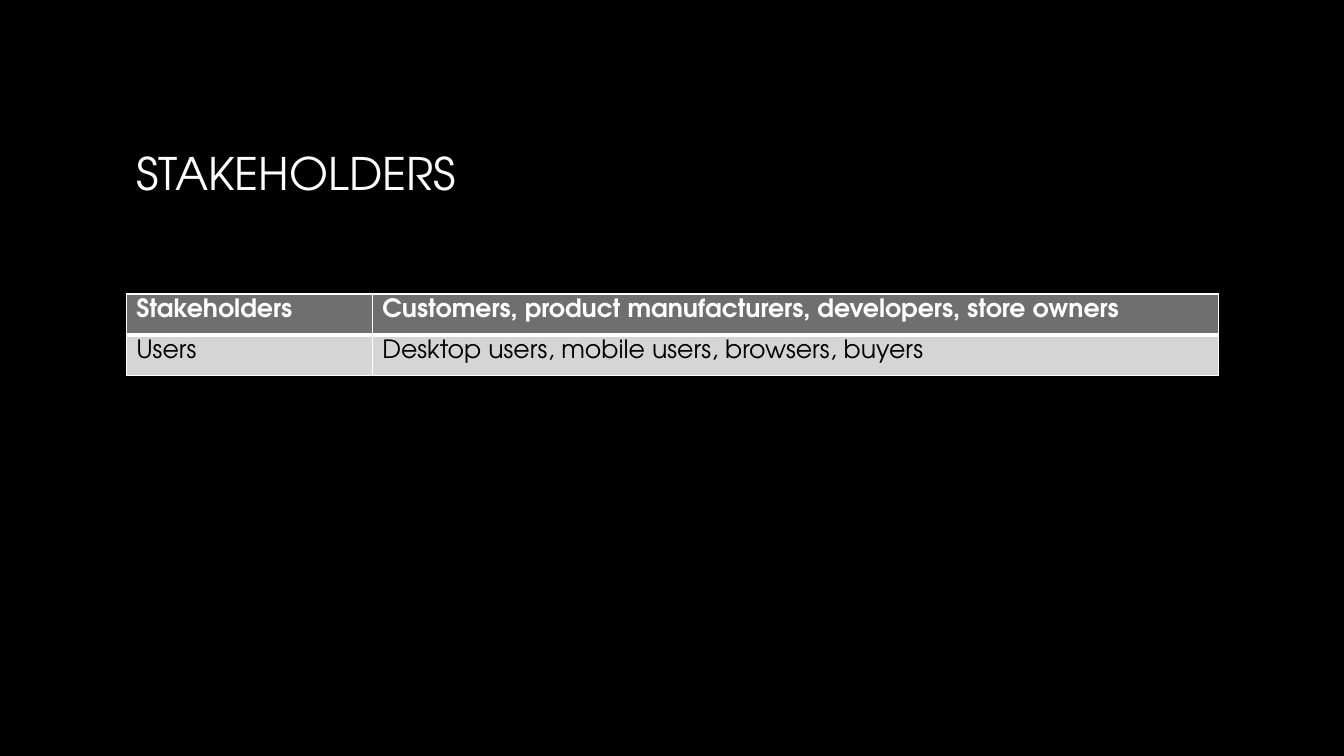
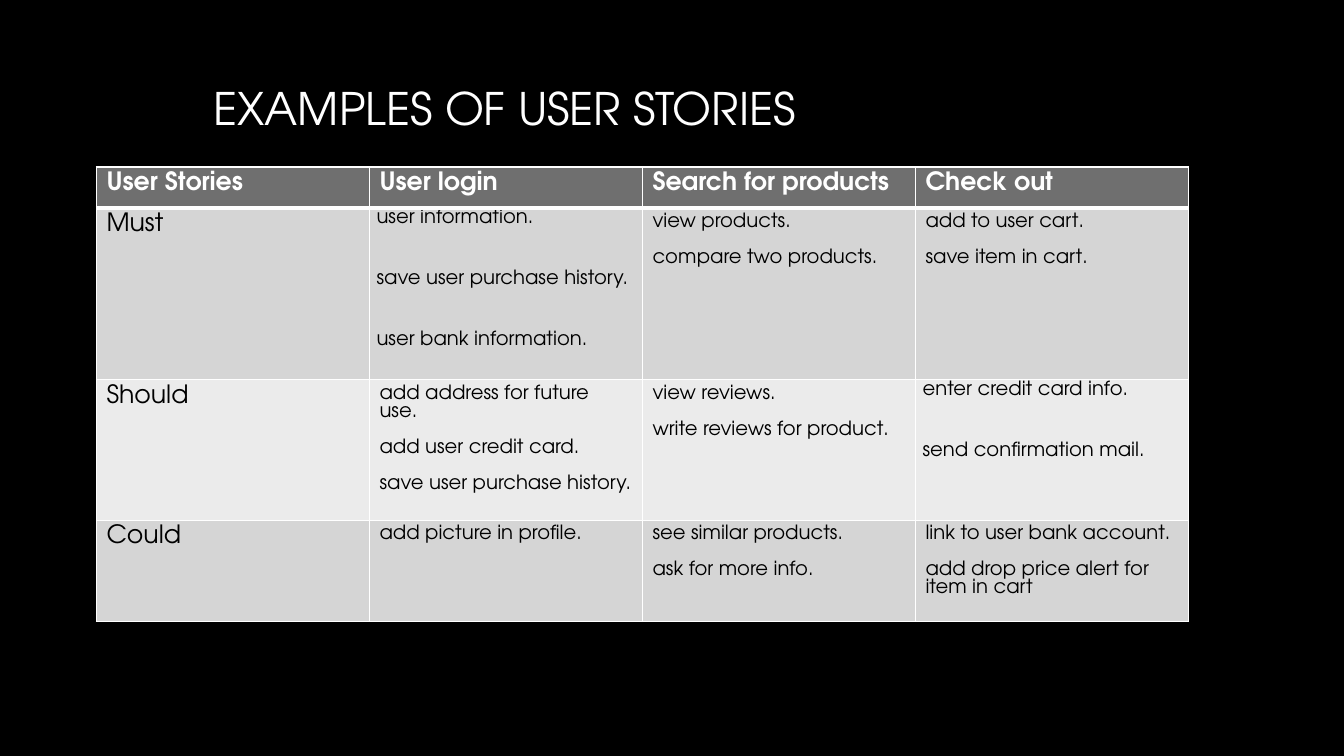
from lxml import etree
from pptx import Presentation
from pptx import util as u
from pptx.dml.color import RGBColor
from pptx.enum import text
from pptx.oxml import ns

FONT = "TeX Gyre Adventor"
WHITE, BLACK = "FFFFFF", "000000"
HEADER, BANDS = "6F6F6F", ("D5D5D5", "EBEBEB")
WIDTH = 27.52
LOOSE = "loose"

slides = [
    dict(title="STAKEHOLDERS", title_at=(3.18, 1.7), table_at=(3.18, 7.41),
         cols=(6.2, 21.32), heights=(1.03, 1.03),
         rows=[
             ["Stakeholders", "Customers, product manufacturers, developers, store owners"],
             ["Users", "Desktop users, mobile users, browsers, buyers"],
         ]),
    dict(title="EXAMPLES OF USER STORIES", title_at=(5.13, 0.07), table_at=(2.43, 4.21),
         cols=(WIDTH / 4,) * 4, heights=(1.03, 4.33, 3, 2.55),
         rows=[
             ["User Stories", "User login", "Search for products", "Check out"],
             ["Must",
              (LOOSE, "user information.", "save user purchase history.", "user bank information."),
              ("view products.", "compare two products."),
              ("add to user cart.", "save item in cart.")],
             ["Should",
              ("add address for future use.", "add user credit card.", "save user purchase history."),
              ("view reviews.", "write reviews for product."),
              (LOOSE, "enter credit card info.", "send confirmation mail.")],
             ["Could",
              ("add picture in profile.",),
              ("see similar products.", "ask for more info."),
              ("link to user bank account.", "add drop price alert for item in cart")],
         ]),
]


def rgb(color):
    return RGBColor.from_string(color)


def write(tf, lines, size=18, color=BLACK, bold=False, gap=0, spacing=None):
    for i, line in enumerate(lines):
        p = tf.add_paragraph() if i else tf.paragraphs[0]
        p.space_before = u.Pt(gap if i else 0)
        if spacing:
            p.line_spacing = spacing
        r = p.add_run()
        r.text = line
        r.font.name = FONT
        r.font.size = u.Pt(size)
        r.font.bold = bold
        r.font.color.rgb = rgb(color)


prs = Presentation()
prs.slide_width, prs.slide_height = u.Cm(33.87), u.Cm(19.05)

for data in slides:
    s = prs.slides.add_slide(prs.slide_layouts[6])
    s.background.fill.solid()
    s.background.fill.fore_color.rgb = rgb(BLACK)

    left, top = data["title_at"]
    sp = s.shapes.add_textbox(u.Cm(left), u.Cm(top), u.Cm(WIDTH), u.Cm(5.29))
    tf = sp.text_frame
    tf.word_wrap = True
    tf.vertical_anchor = text.MSO_ANCHOR.MIDDLE
    write(tf, [data["title"]], size=32, color=WHITE)

    rows, cols, heights = data["rows"], data["cols"], data["heights"]
    left, top = data["table_at"]
    table = s.shapes.add_table(len(rows), len(cols), u.Cm(left), u.Cm(top),
                               u.Cm(WIDTH), u.Cm(sum(heights))).table
    for col, width in zip(table.columns, cols):
        col.width = u.Cm(width)

    for y, row in enumerate(rows):
        table.rows[y].height = u.Cm(heights[y])
        header = y == 0
        for x, content in enumerate(row):
            cell = table.cell(y, x)
            tcPr = cell._tc.get_or_add_tcPr()
            for side in "LRTB":
                weight = 3 if header and side == "B" else 1
                ln = etree.SubElement(tcPr, ns.qn("a:ln" + side), w=str(u.Pt(weight)))
                fill = etree.SubElement(ln, ns.qn("a:solidFill"))
                etree.SubElement(fill, ns.qn("a:srgbClr"), val=WHITE)
            cell.fill.solid()
            cell.fill.fore_color.rgb = rgb(HEADER if header else BANDS[(y - 1) % 2])

            if isinstance(content, str):
                write(cell.text_frame, [content], color=WHITE if header else BLACK, bold=header)
            elif content[0] == LOOSE:
                cell.margin_left = cell.margin_right = u.Cm(0.18)
                cell.margin_top = cell.margin_bottom = 0
                write(cell.text_frame, content[1:], size=14, gap=29.8, spacing=1.07)
            else:
                write(cell.text_frame, content, size=14, gap=12.9)

prs.save("out.pptx")
